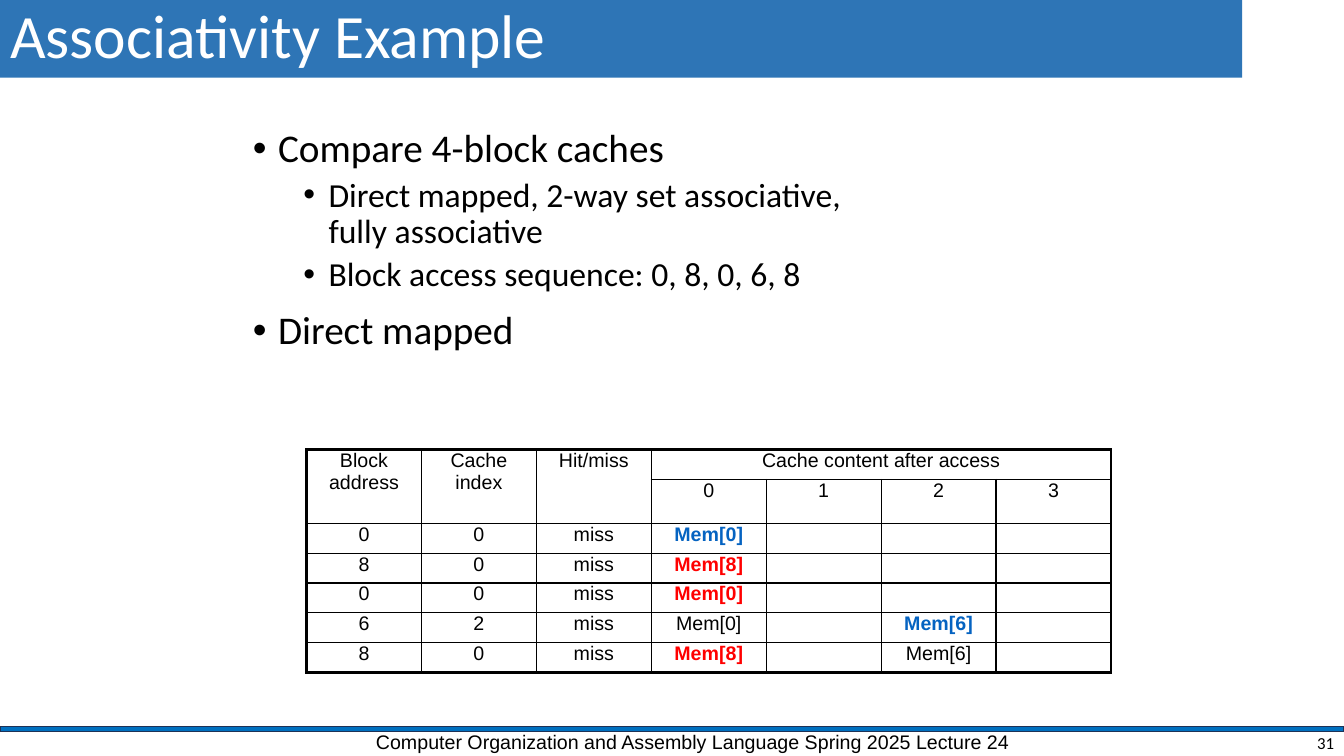
from lxml.etree import SubElement
from pptx import Presentation
from pptx.dml.color import RGBColor
from pptx.enum.shapes import MSO_SHAPE as Shape
from pptx.enum.text import MSO_ANCHOR as Anchor, MSO_AUTO_SIZE as AutoSize, PP_ALIGN as Align
from pptx.oxml.ns import qn
from pptx.util import Inches, Pt

BLACK = RGBColor(0x00, 0x00, 0x00)
WHITE = RGBColor(0xFF, 0xFF, 0xFF)
TITLE_BLUE = RGBColor(0x2E, 0x75, 0xB6)
RULE_BLUE = RGBColor(0x00, 0x70, 0xC0)
RULE_EDGE = RGBColor(0x1E, 0x32, 0x56)
FIRST_LOAD = RGBColor(0x05, 0x63, 0xC1)
REPLACED = RGBColor(0xFF, 0x00, 0x00)

# (level, text, size, space before)
BULLETS = [
    (0, "Compare 4-block caches", 28, 10),
    (1, "Direct mapped, 2-way set associative,\nfully associative", 24, 5),
    (1, "Block access sequence: 0, 8, 0, 6, 8", 24, 5),
    (0, "Direct mapped", 28, 12),
]

ACCESSES = [
    ["Block address", "Cache index", "Hit/miss", "Cache content after access", "", "", ""],
    ["", "", "", "0", "1", "2", "3"],
    ["0", "0", "miss", "Mem[0]", "", "", ""],
    ["8", "0", "miss", "Mem[8]", "", "", ""],
    ["0", "0", "miss", "Mem[0]", "", "", ""],
    ["6", "2", "miss", "Mem[0]", "", "Mem[6]", ""],
    ["8", "0", "miss", "Mem[8]", "", "Mem[6]", ""],
]
# First row, first column, last row, last column
MERGES = [(0, 0, 1, 0), (0, 1, 1, 1), (0, 2, 1, 2), (0, 3, 0, 6)]
LOADS = {(2, 3): FIRST_LOAD, (3, 3): REPLACED, (4, 3): REPLACED,
         (5, 5): FIRST_LOAD, (6, 3): REPLACED}


class Deck:
    """Places elements on one slide; lengths are percentages of its size."""

    def __init__(self, width, height):
        self.prs = Presentation()
        self.prs.slide_width, self.prs.slide_height = Inches(width), Inches(height)
        self.slide = self.prs.slides.add_slide(self.prs.slide_layouts[5])
        self.shapes = self.slide.shapes

    def box(self, left, top, width, height):
        w, h = self.prs.slide_width, self.prs.slide_height
        return [int(share * side / 100) for share, side in
                zip((left, top, width, height), (w, h, w, h))]

    def fill_line(self, p, text, size, font="Calibri", color=BLACK, bold=False, **layout):
        p.text = text
        for name, value in layout.items():
            setattr(p, name, value)
        for r in p.runs:
            for name, value in {"size": Pt(size), "name": font, "bold": bold}.items():
                setattr(r.font, name, value)
            r.font.color.rgb = color

    def frame(self, sp, anchor):
        tf = sp.text_frame
        for name, value in {"word_wrap": True, "auto_size": AutoSize.NONE,
                            "vertical_anchor": anchor}.items():
            setattr(tf, name, value)
        return tf

    def title(self, area, text):
        sp = self.shapes.title
        sp.left, sp.top, sp.width, sp.height = self.box(*area)
        sp.fill.solid()
        sp.fill.fore_color.rgb = TITLE_BLUE
        self.fill_line(self.frame(sp, Anchor.MIDDLE).paragraphs[0], text, 44, color=WHITE,
                       alignment=Align.LEFT, line_spacing=0.9)

    def rule(self, area):
        sp = self.shapes.add_shape(Shape.RECTANGLE, *self.box(*area))
        sp.shadow.inherit = False
        sp.fill.solid()
        sp.fill.fore_color.rgb = RULE_BLUE
        sp.line.color.rgb = RULE_EDGE
        sp.line.width = Pt(1)

    def text(self, area, text, size, anchor=Anchor.TOP, **style):
        sp = self.shapes.add_textbox(*self.box(*area))
        self.fill_line(self.frame(sp, anchor).paragraphs[0], text, size, **style)

    def bullets(self, area, items):
        tf = self.frame(self.shapes.add_textbox(*self.box(*area)), Anchor.TOP)
        for i, (level, text, size, before) in enumerate(items):
            p = tf.paragraphs[0] if i == 0 else tf.add_paragraph()
            self.fill_line(p, text, size, level=level, line_spacing=0.9,
                           space_before=Pt(before))
            pPr = p._p.get_or_add_pPr()
            pPr.set("marL", str(Inches(0.25 + 0.5 * level)))
            pPr.set("indent", str(Inches(-0.25)))
            SubElement(pPr, qn("a:buFont"), typeface="Arial")
            SubElement(pPr, qn("a:buChar"), char="•")

    def borders(self, cell, widths):
        tcPr = cell._tc.get_or_add_tcPr()
        for side, width in widths.items():
            ln = SubElement(tcPr, qn(f"a:ln{side}"), w=str(Pt(width)))
            fill = SubElement(ln, qn("a:solidFill"))
            SubElement(fill, qn("a:srgbClr"), val=str(BLACK))

    def table(self, area, rows, merges, colors, size=14, thin=1, thick=2.25):
        n_rows, n_cols = len(rows), len(rows[0])
        left, top, width, height = self.box(*area)
        table = self.shapes.add_table(n_rows, n_cols, left, top, width, height).table
        table.first_row = table.horz_banding = False
        for row in table.rows:
            row.height = height // n_rows
        for r0, c0, r1, c1 in merges:
            table.cell(r0, c0).merge(table.cell(r1, c1))

        for r, row in enumerate(rows):
            for c, text in enumerate(row):
                cell = table.cell(r, c)
                cell.margin_top = cell.margin_bottom = 0
                p = cell.text_frame.paragraphs[0]
                self.fill_line(p, text, size, "Arial", colors.get((r, c), BLACK),
                               (r, c) in colors, alignment=Align.CENTER)
                if not text:
                    p._p.get_or_add_endParaRPr().set("sz", str(size * 100))
                # Thick lines around the table, none inside a merged block
                r0, c0, r1, c1 = next((m for m in merges if m[0] <= r <= m[2]
                                       and m[1] <= c <= m[3]), (r, c, r, c))
                edges = {"L": (c == c0, c0 == 0), "R": (c == c1, c1 == n_cols - 1),
                         "T": (r == r0, r0 == 0), "B": (r == r1, r1 == n_rows - 1)}
                self.borders(cell, {side: thick if outer else thin
                                    for side, (on_edge, outer) in edges.items()
                                    if on_edge or (r, c) == (r0, c0)})
                cell.fill.background()


def main():
    deck = Deck(13.33, 7.5)
    # Footer
    deck.rule((0, 96.13, 100, 0.67))
    deck.text((27.23, 95.87, 51.09, 4.13),
              "Computer Organization and Assembly Language Spring 2025 Lecture 24",
              14, font="Arial")
    # Title and bullets
    deck.title((0, 0, 92.42, 10.27), "Associativity Example")
    deck.bullets((18.08, 16.4, 67.89, 40.93), BULLETS)
    # Cache accesses
    deck.table((22.81, 59.47, 59.86, 27.6), ACCESSES, MERGES, LOADS)
    # Slide number
    deck.text((77.49, 96.53, 22.51, 3.33), "31", 12, Anchor.MIDDLE, alignment=Align.RIGHT)
    deck.prs.save("out.pptx")


if __name__ == "__main__":
    main()
